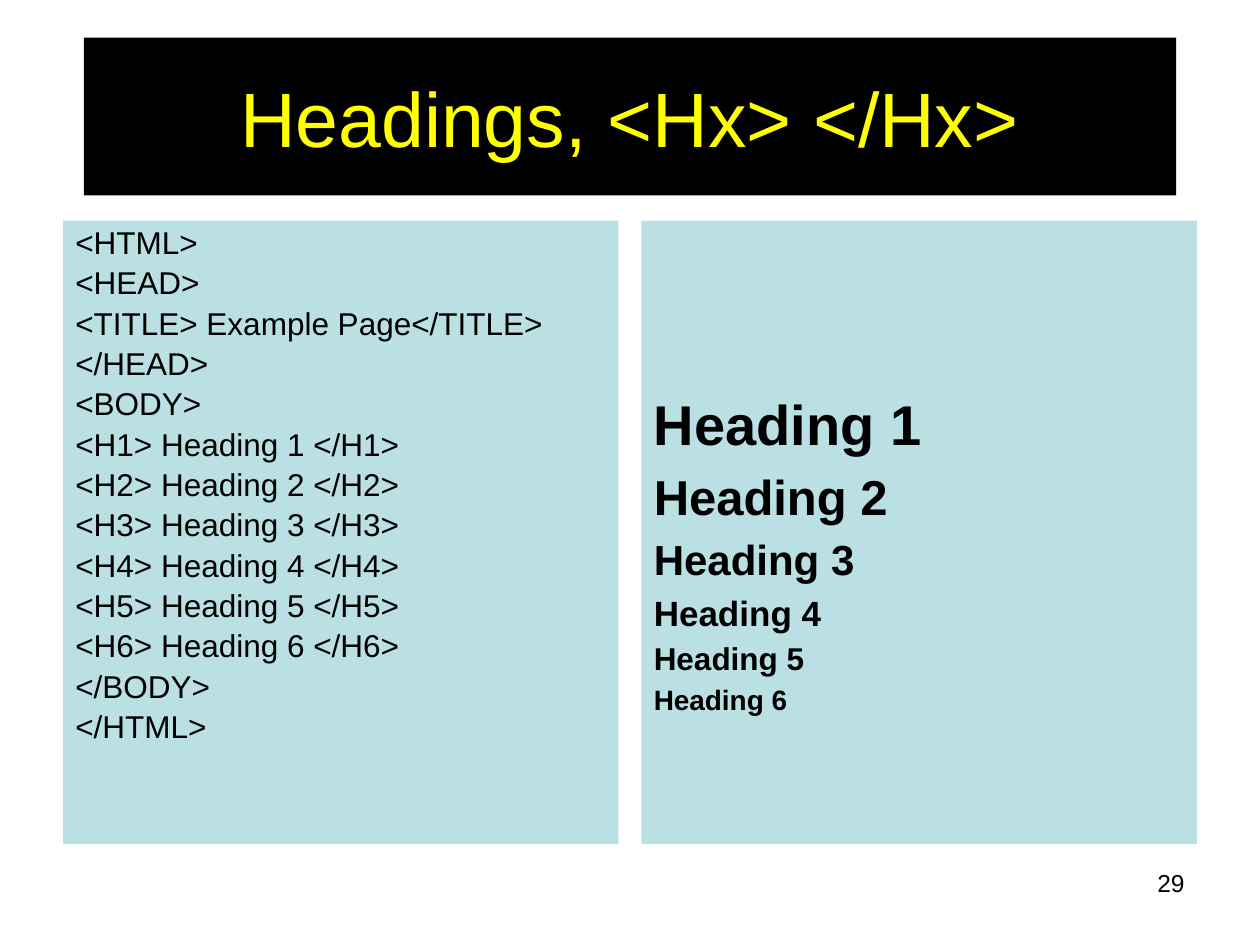
from pptx import Presentation
from pptx.dml.color import RGBColor
from pptx.enum.shapes import MSO_SHAPE as Shape
from pptx.enum.text import MSO_ANCHOR as Anchor, PP_ALIGN as Align
from pptx.util import Cm, Pt

BLACK, YELLOW, PALE_BLUE = "000000", "FFFF00", "BBE0E3"


def colour(code):
    """Turn a hex string into a colour."""
    return RGBColor.from_string(code)


class SlideWriter:
    """Holds the style and the slide being filled."""

    font = "Arial"
    hanging = Cm(0.95)

    def __init__(self, slide):
        """Start on the given slide."""
        self.slide = slide

    def prepare(self, frame, anchor=Anchor.TOP, top_inset=0.13):
        """Set wrapping, margins and anchor of a text frame."""
        frame.word_wrap = True
        frame.vertical_anchor = anchor
        frame.margin_left = frame.margin_right = Cm(0.25)
        frame.margin_top, frame.margin_bottom = Cm(top_inset), Cm(0.13)
        return frame

    def style(self, paragraph, text, size, ink=BLACK, align=Align.LEFT, bold=False):
        """Write one paragraph in the slide font."""
        paragraph.text = text
        paragraph.alignment = align
        font = paragraph.font
        font.name, font.size, font.bold = self.font, Pt(size), bold
        font.color.rgb = colour(ink)

    def label(self, box, text, size, align):
        """Add a one-line text box."""
        frame = self.slide.shapes.add_textbox(*map(Cm, box)).text_frame
        self.style(self.prepare(frame).paragraphs[0], text, size, align=align)

    def panel(self, box, fill, **layout):
        """Add a filled rectangle and return its text frame."""
        panel = self.slide.shapes.add_shape(Shape.RECTANGLE, *map(Cm, box))
        panel.shadow.inherit = False
        panel.fill.solid()
        panel.fill.fore_color.rgb = colour(fill)
        panel.line.fill.background()
        return self.prepare(panel.text_frame, **layout)

    def banner(self, box, text):
        """Add the title banner."""
        frame = self.panel(box, BLACK, anchor=Anchor.MIDDLE)
        self.style(frame.paragraphs[0], text, 44, YELLOW, Align.CENTER)

    def listing(self, box, lines, spacing=1.0, bold=False, top_inset=0.13):
        """Add a panel of (text, size) lines, each a fifth of its size apart."""
        frame = self.panel(box, PALE_BLUE, top_inset=top_inset)
        for number, (text, size) in enumerate(lines):
            paragraph = frame.add_paragraph() if number else frame.paragraphs[0]
            self.style(paragraph, text, size, bold=bold)
            paragraph.line_spacing = spacing
            paragraph.space_before = Pt(size / 5 if number else 0)
            properties = paragraph._p.get_or_add_pPr()
            properties.set("marL", str(self.hanging))
            properties.set("indent", str(-self.hanging))


deck = Presentation()
deck.slide_width, deck.slide_height = Cm(25.4), Cm(19.05)
writer = SlideWriter(deck.slides.add_slide(deck.slide_layouts[6]))

heading_sizes = (32, 28, 24, 20, 18, 16)
headings = [(f"Heading {level}", size) for level, size in enumerate(heading_sizes, 1)]
markup = [
    "<HTML>", "<HEAD>", "<TITLE> Example Page</TITLE>", "</HEAD>", "<BODY>",
    *(f"<H{level}> {text} </H{level}>" for level, (text, _) in enumerate(headings, 1)),
    "</BODY>", "</HTML>",
]

margin, column_top, column_width, column_height = 1.27, 4.45, 11.2, 12.57
right_column = 25.4 - margin - column_width

writer.label((18.2, 17.36, 5.93, 1.32), "29", 14, Align.RIGHT)
writer.banner((1.69, 0.76, 22.02, 3.18), "Headings, <Hx> </Hx>")
writer.listing((margin, column_top, column_width, column_height),
               [(line, 18) for line in markup], spacing=0.9)
writer.listing((right_column, column_top, column_width, column_height),
               headings, bold=True, top_inset=3.4)

deck.save("out.pptx")
